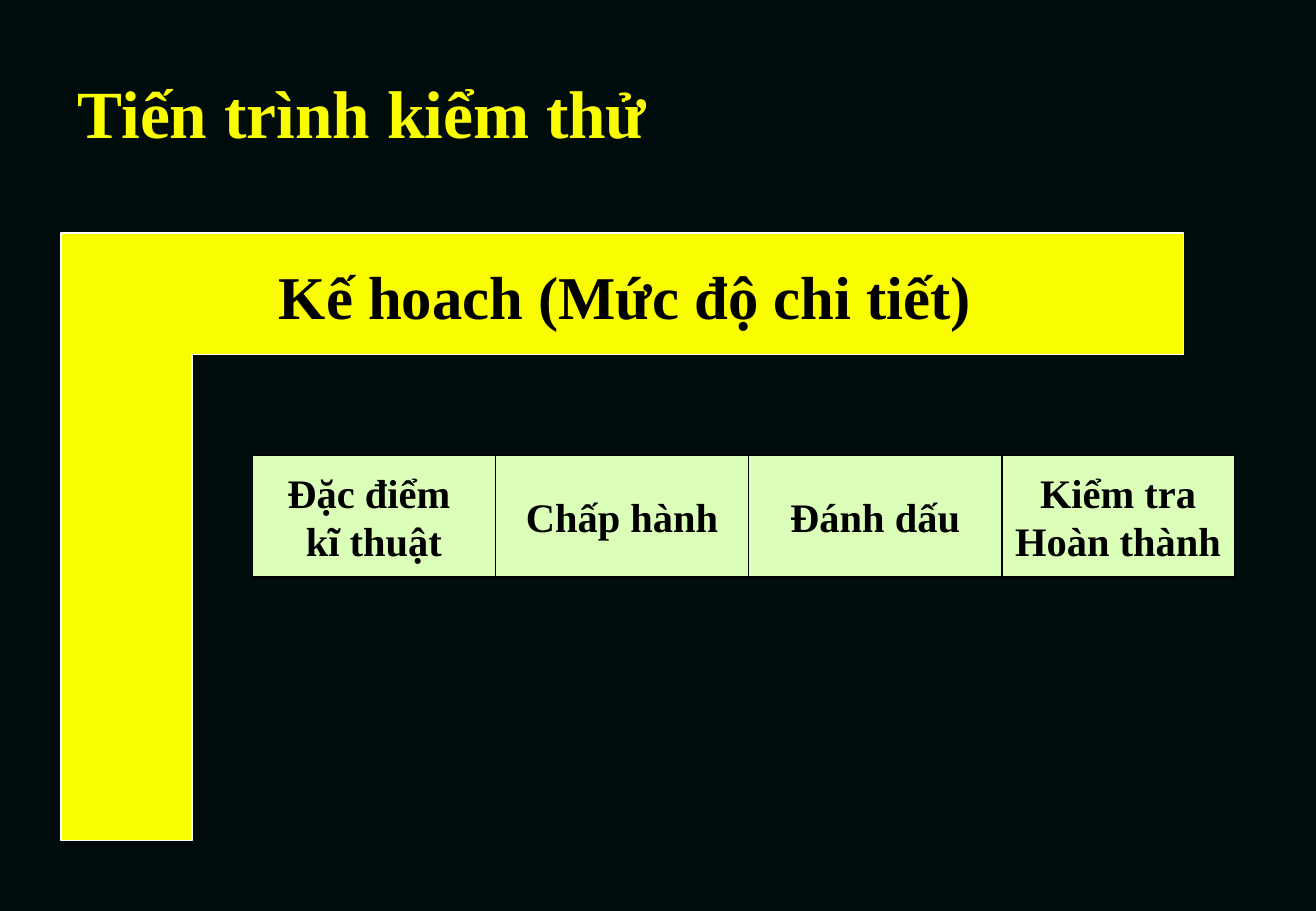
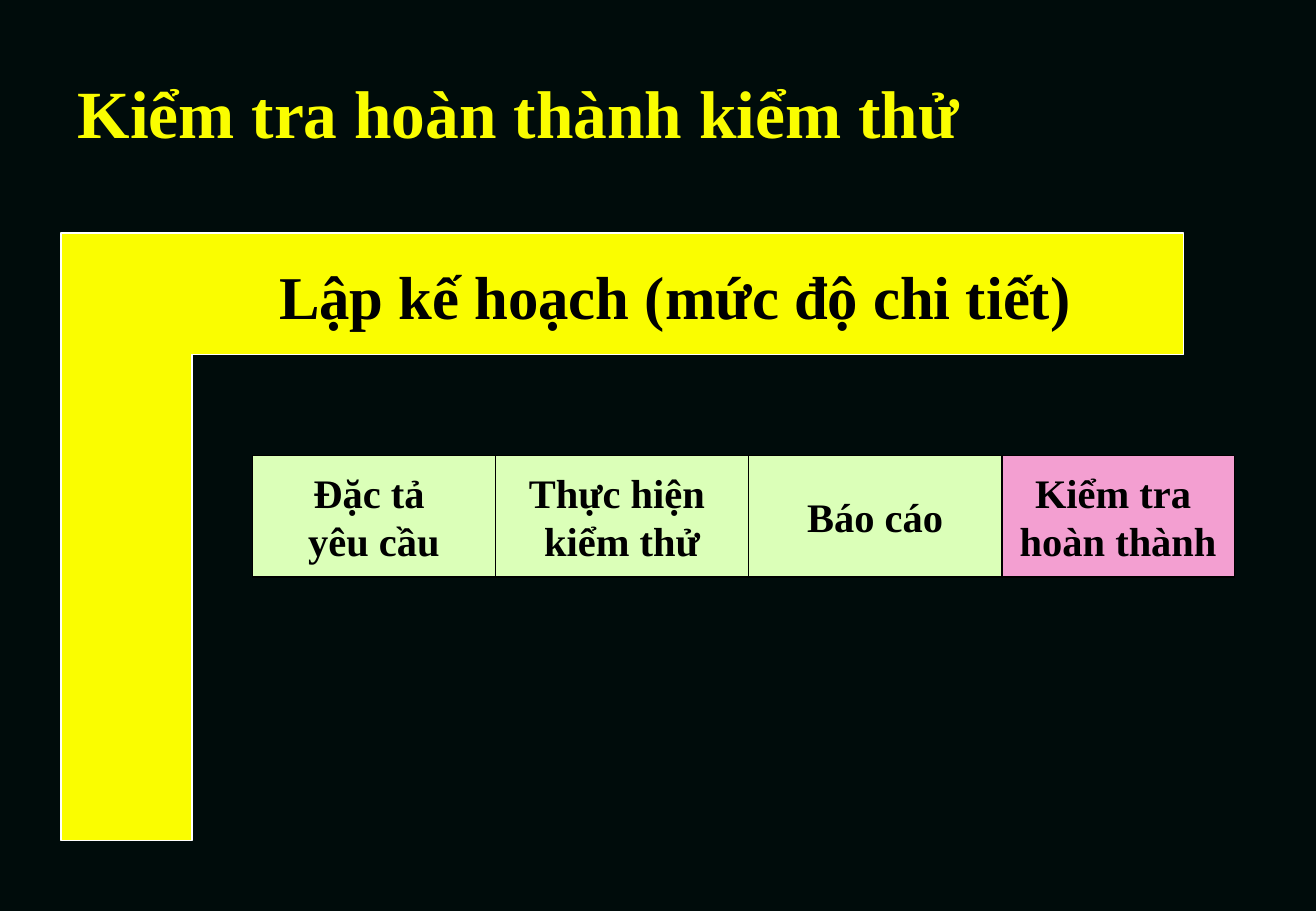
from pptx import Presentation
from pptx.dml.color import RGBColor
from pptx.enum.shapes import MSO_SHAPE
from pptx.enum.text import MSO_ANCHOR, MSO_AUTO_SIZE, PP_ALIGN
from pptx.util import Inches, Pt

COLORS = {
    "background": "000C0B",
    "yellow": "FAFD00",
    "green": "DBFFB8",
    "pink": "F39FD1",
    "black": "000000",
    "white": "FFFFFF",
}
FONT = "Times New Roman"
TITLE_BOX = (0.54, 0.58, 9.21, 0.67)
PLAN_BOX = (0.5, 1.92, 9.25, 5)
STEPS_BOX = (2.08, 3.75, 8.09, 1)
STEP_SHARES = (24, 25, 25, 23)

SLIDES = [
    {
        "title": "Tiến trình kiểm thử",
        "plan": "Kế hoach (Mức độ chi tiết)",
        "plan_width": 5.9,
        "steps": [
            ["Đặc điểm ", "kĩ thuật"],
            ["Chấp hành"],
            ["Đánh dấu"],
            ["Kiểm tra", "Hoàn thành"],
        ],
        "current_step": None,
    },
    {
        "title": "Kiểm tra hoàn thành kiểm thử",
        "plan": "Lập kế hoạch (mức độ chi tiết)",
        "plan_width": 6.72,
        "steps": [
            ["Đặc tả ", "yêu cầu"],
            ["Thực hiện ", "kiểm thử"],
            ["Báo cáo"],
            ["Kiểm tra ", "hoàn thành"],
        ],
        "current_step": 3,
    },
]


def color(name):
    return RGBColor.from_string(COLORS[name])


def paint(shape, fill, outline):
    shape.shadow.inherit = False
    shape.fill.solid()
    shape.fill.fore_color.rgb = color(fill)
    shape.line.color.rgb = color(outline)
    shape.line.width = Pt(1)


def write(frame, lines, size, ink, align):
    for number, line in enumerate(lines):
        paragraph = frame.add_paragraph() if number else frame.paragraphs[0]
        paragraph.alignment = align
        run = paragraph.add_run()
        run.text = line
        run.font.name = FONT
        run.font.size = Pt(size)
        run.font.bold = True
        run.font.color.rgb = color(ink)


def add_title(slide, box, text):
    title = slide.shapes.title
    title.left, title.top, title.width, title.height = map(Inches, box)
    frame = title.text_frame
    frame.auto_size = MSO_AUTO_SIZE.NONE
    frame.vertical_anchor = MSO_ANCHOR.MIDDLE
    write(frame, [text], 40, "yellow", PP_ALIGN.LEFT)


def add_steps(slide, box, steps, current_step):
    left, top, width, height = box
    unit = width / sum(STEP_SHARES)
    for number, (lines, share) in enumerate(zip(steps, STEP_SHARES)):
        step = slide.shapes.add_shape(
            MSO_SHAPE.RECTANGLE, Inches(left), Inches(top),
            Inches(share * unit), Inches(height))
        paint(step, "pink" if number == current_step else "green", "black")
        step.text_frame.word_wrap = False
        step.text_frame.vertical_anchor = MSO_ANCHOR.MIDDLE
        write(step.text_frame, lines, 24, "black", PP_ALIGN.CENTER)
        left += share * unit


def add_plan(slide, box, text, text_width):
    left, top, width, height = box
    right, bottom = left + width, top + height
    inner_left, inner_top = left + 1.08, top + 1
    plan = slide.shapes.add_group_shape()
    corners = [(right, top), (right, inner_top), (inner_left, inner_top),
               (inner_left, bottom), (left, bottom)]
    outline = plan.shapes.build_freeform(Inches(left), Inches(top))
    outline.add_line_segments(
        [(Inches(x), Inches(y)) for x, y in corners], close=True)
    paint(outline.convert_to_shape(), "yellow", "white")

    label = plan.shapes.add_textbox(
        Inches(left + 1.7), Inches(top + 0.16), Inches(text_width), Inches(0.7))
    label.fill.solid()
    label.fill.fore_color.rgb = color("yellow")
    label.text_frame.word_wrap = False
    label.text_frame.auto_size = MSO_AUTO_SIZE.SHAPE_TO_FIT_TEXT
    write(label.text_frame, [text], 36, "black", PP_ALIGN.LEFT)


def add_process_slide(deck, content):
    slide = deck.slides.add_slide(deck.slide_layouts[5])
    add_title(slide, TITLE_BOX, content["title"])
    add_steps(slide, STEPS_BOX, content["steps"], content["current_step"])
    add_plan(slide, PLAN_BOX, content["plan"], content["plan_width"])


def main():
    deck = Presentation()
    deck.slide_width, deck.slide_height = Inches(10.84), Inches(7.5)
    background = deck.slide_master.background.fill
    background.solid()
    background.fore_color.rgb = color("background")
    for content in SLIDES:
        add_process_slide(deck, content)
    deck.save("out.pptx")


if __name__ == "__main__":
    main()
